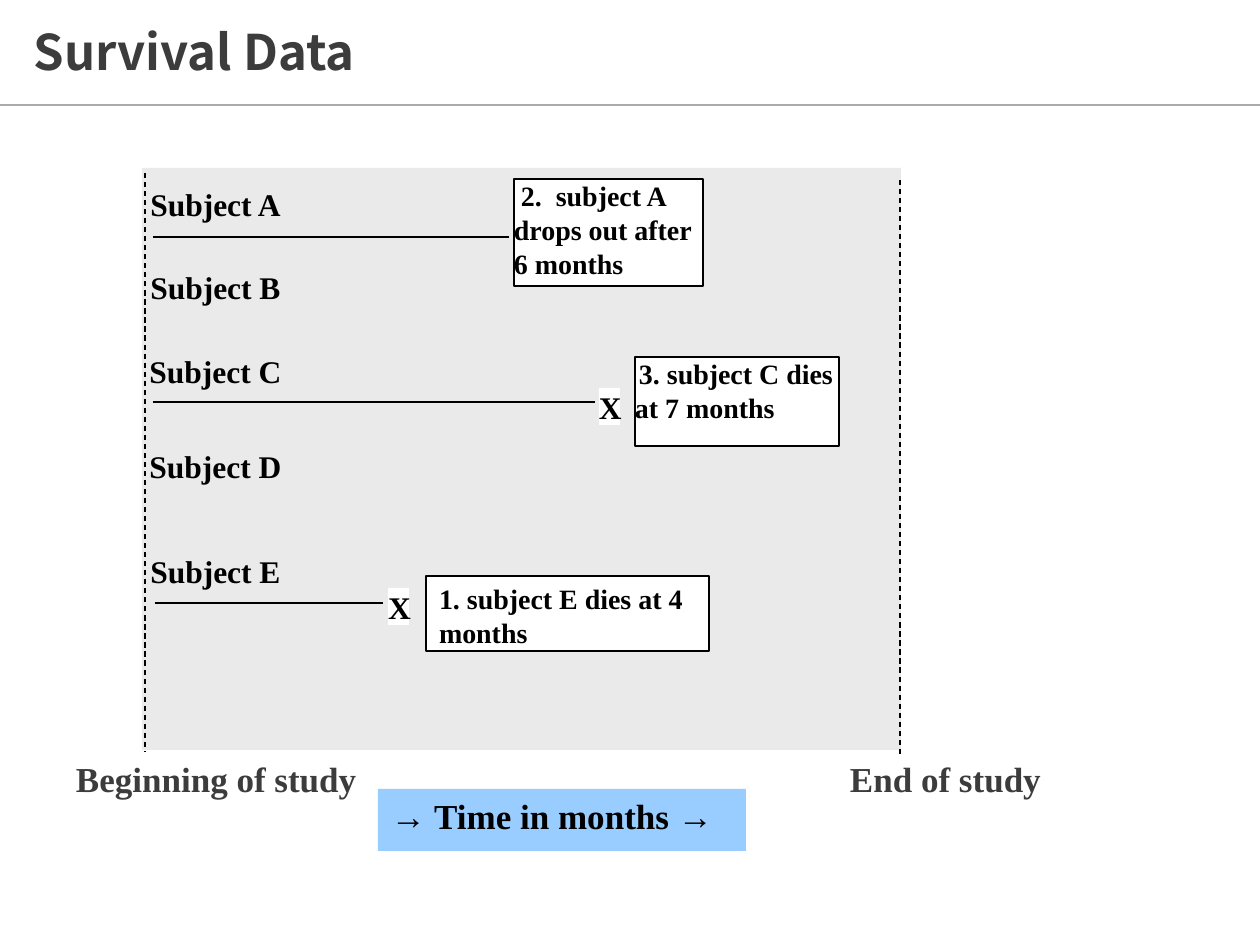
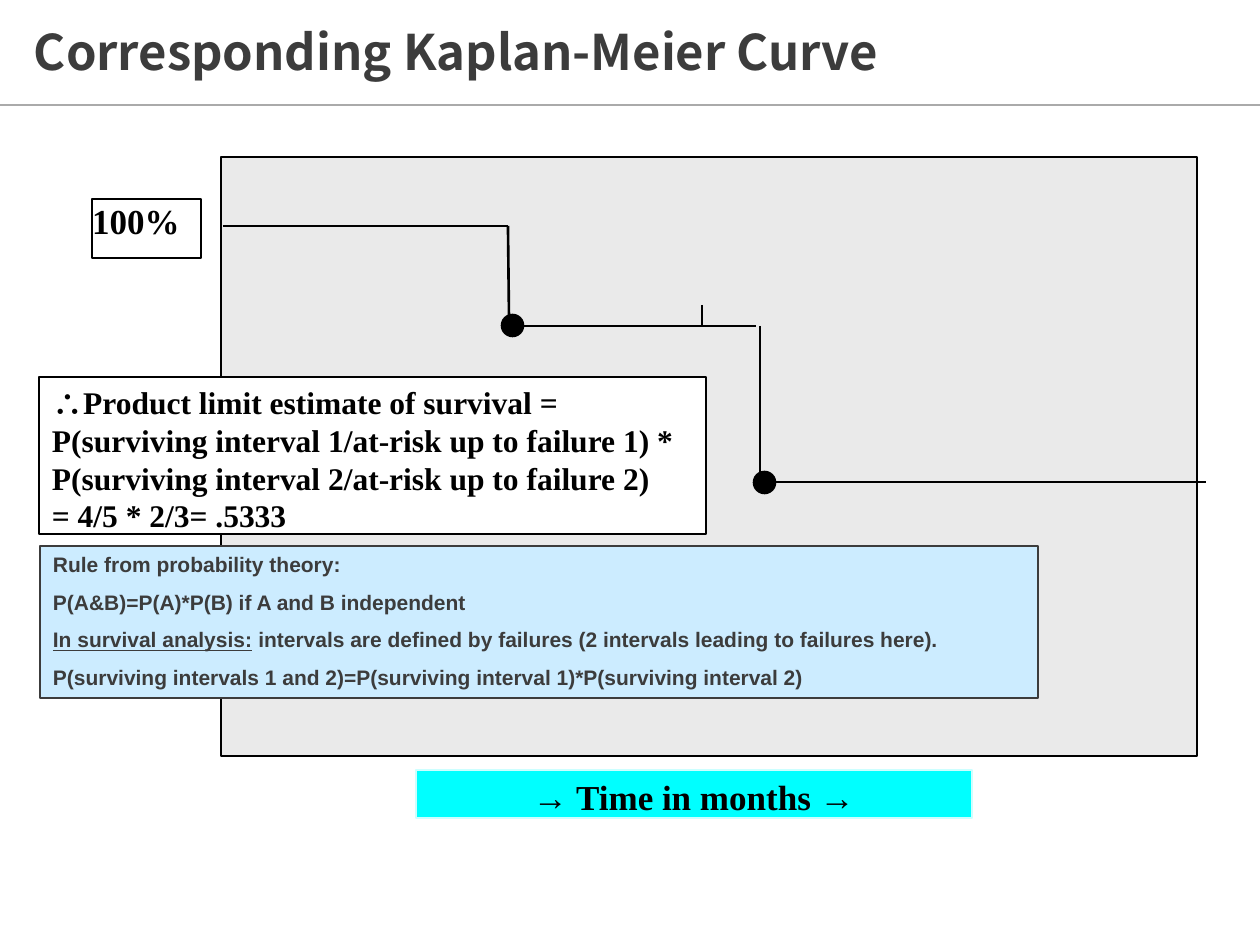
from lxml import etree
from pptx import Presentation
from pptx.dml.color import RGBColor
from pptx.enum import dml, shapes, text
from pptx.oxml import ns
from pptx.util import Pt

PX = 914400 / 126  # EMU in one px
SLIDE_W, SLIDE_H = 1260, 945

INK = RGBColor(0x3C, 0x3C, 0x3C)
BLACK = RGBColor(0, 0, 0)
WHITE = RGBColor(0xFF, 0xFF, 0xFF)
PANEL = RGBColor(0xEA, 0xEA, 0xEA)
RULE = RGBColor(0xAA, 0xAA, 0xAA)
SKY = RGBColor(0x99, 0xCC, 0xFF)
CYAN = RGBColor(0x00, 0xFF, 0xFF)
PALE_CYAN = RGBColor(0xCC, 0xFF, 0xFF)
PALE_BLUE = RGBColor(0xCC, 0xEC, 0xFF)

SERIF, SANS, TITLE_FONT = "Times New Roman", "Arial", "Noto Sans CJK SC"
INSET = (13, 6, 13, 6)
LABEL_INSET = (13, 6, 13, 0)
TIGHT = (0, 0, 0, 0)
TIME_AXIS = "→ Time in months →"


def emu(px):
    return round(px * PX)


def add_line(slide, x1, y1, x2, y2, color=BLACK, weight=0.75, dashed=False):
    line = slide.shapes.add_connector(
        shapes.MSO_CONNECTOR.STRAIGHT, *map(emu, (x1, y1, x2, y2)))
    line.line.color.rgb = color
    line.line.width = Pt(weight)
    if dashed:
        line.line.dash_style = dml.MSO_LINE.DASH
    etree.SubElement(line._element.spPr, ns.qn("a:effectLst"))


def add_panel(slide, place, fill, outline=None, weight=0.75,
              form=shapes.MSO_SHAPE.RECTANGLE):
    panel = slide.shapes.add_shape(form, *map(emu, place))
    panel.shadow.inherit = False
    panel.fill.solid()
    panel.fill.fore_color.rgb = fill
    if outline is None:
        panel.line.fill.background()
    else:
        panel.line.color.rgb = outline
        panel.line.width = Pt(weight)
    return panel


def write(holder, *paragraphs, size=18, font=SERIF, color=BLACK, inset=INSET,
          align=text.PP_ALIGN.LEFT, anchor=text.MSO_ANCHOR.TOP,
          gap=0, spacing=None, indent=0):
    """Fill a holder; a paragraph given as a pair has its first part underlined."""
    frame = holder.text_frame
    frame.word_wrap = True
    frame.vertical_anchor = anchor
    (frame.margin_left, frame.margin_top,
     frame.margin_right, frame.margin_bottom) = map(emu, inset)
    for number, content in enumerate(paragraphs):
        paragraph = frame.add_paragraph() if number else frame.paragraphs[0]
        paragraph.alignment = align
        paragraph.line_spacing = spacing
        if number and gap:
            paragraph.space_before = Pt(gap)
        if indent:
            paragraph._p.get_or_add_pPr().set("indent", str(emu(indent)))
        underlined, plain = ("", content) if isinstance(content, str) else content
        for part in filter(None, (underlined, plain)):
            run = paragraph.add_run()
            run.text = part
            run.font.name, run.font.size = font, Pt(size)
            run.font.bold = True
            run.font.color.rgb = color
            if part == underlined:
                run.font.underline = True


def add_label(slide, place, *paragraphs, **style):
    write(slide.shapes.add_textbox(*map(emu, place)), *paragraphs, **style)


def add_titled_slide(deck, title):
    slide = deck.slides.add_slide(deck.slide_layouts[6])
    add_line(slide, 0, 105, SLIDE_W, 105, RULE)
    add_label(slide, (21, 20, 1061, 69), title, size=28, font=TITLE_FONT,
              color=INK, anchor=text.MSO_ANCHOR.MIDDLE, spacing=0.9)
    return slide


def add_death_mark(slide, left, top):
    write(add_panel(slide, (left, top, 21, 37), WHITE), "X", inset=TIGHT)


def build_survival_data(deck):
    slide = add_titled_slide(deck, "Survival Data")

    # Study period
    add_panel(slide, (142, 168, 759, 582), PANEL)
    add_line(slide, 900, 180, 900, 756, dashed=True)
    add_line(slide, 145, 173, 145, 751, dashed=True)
    for left, caption in ((63, "Beginning of study"), (837, "End of study")):
        add_label(slide, (left, 751, 444, 93), caption, size=20, color=INK)
    write(add_panel(slide, (378, 789, 368, 62), SKY), TIME_AXIS, size=20)

    # Subjects
    for name, top in zip("ABCDE", (179, 262, 346, 441, 546)):
        add_label(slide, (53, top, 325, 44), f"Subject {name}",
                  inset=LABEL_INSET, align=text.PP_ALIGN.CENTER)

    # Follow-up times and what ended them
    for start, end, y in ((153, 509, 237), (155, 383, 603), (153, 595, 402)):
        add_line(slide, start, y, end, y)
    events = (
        ((514, 179, 189, 107), "2.  subject A drops out after 6 months", TIGHT, 7),
        ((426, 576, 283, 75), "1. subject E dies at 4 months", INSET, 0),
        ((635, 357, 204, 89), "3. subject C dies at 7 months", TIGHT, 4),
    )
    for place, event, inset, indent in events:
        write(add_panel(slide, place, WHITE, BLACK), event,
              size=16, inset=inset, indent=indent)
    add_death_mark(slide, 388, 588)
    add_death_mark(slide, 599, 388)


def build_kaplan_meier(deck):
    slide = add_titled_slide(deck, "Corresponding Kaplan-Meier Curve")

    # Plot area and axis labels
    add_panel(slide, (221, 157, 976, 599), PANEL, BLACK, 1.5)
    write(add_panel(slide, (92, 199, 109, 59), WHITE, BLACK, 1.5),
          "100%", size=20, inset=TIGHT)
    write(add_panel(slide, (416, 770, 556, 48), CYAN, PALE_CYAN), TIME_AXIS,
          size=20, inset=LABEL_INSET, align=text.PP_ALIGN.CENTER)

    # Survival curve: steps, failures and the censoring tick
    steps = ((223, 226, 508, 226), (508, 226, 509, 315), (512, 326, 756, 326),
             (760, 326, 760, 479), (762, 482, 1206, 482))
    for step in steps:
        add_line(slide, *step, weight=1.5)
    for left, top in ((502, 315), (754, 472)):
        add_panel(slide, (left, top, 21, 21), BLACK, BLACK, 1.5,
                  shapes.MSO_SHAPE.OVAL)
    add_line(slide, 702, 305, 702, 325)

    # Probability rule and survival estimate
    write(add_panel(slide, (40, 546, 998, 152), PALE_BLUE, INK),
          "Rule from probability theory:",
          "P(A&B)=P(A)*P(B) if A and B independent",
          ("In survival analysis:", " intervals are defined by failures "
           "(2 intervals leading to failures here)."),
          "P(surviving intervals 1 and 2)=P(surviving interval 1)"
          "*P(surviving interval 2)",
          size=12, font=SANS, color=INK, gap=7)
    write(add_panel(slide, (39, 377, 667, 157), WHITE, BLACK),
          "∴Product limit estimate of survival =",
          "P(surviving interval 1/at-risk up to failure 1) *",
          "P(surviving interval 2/at-risk up to failure 2)",
          "= 4/5 * 2/3= .5333")


def main():
    deck = Presentation()
    deck.slide_width, deck.slide_height = emu(SLIDE_W), emu(SLIDE_H)
    build_survival_data(deck)
    build_kaplan_meier(deck)
    deck.save("out.pptx")


if __name__ == "__main__":
    main()
